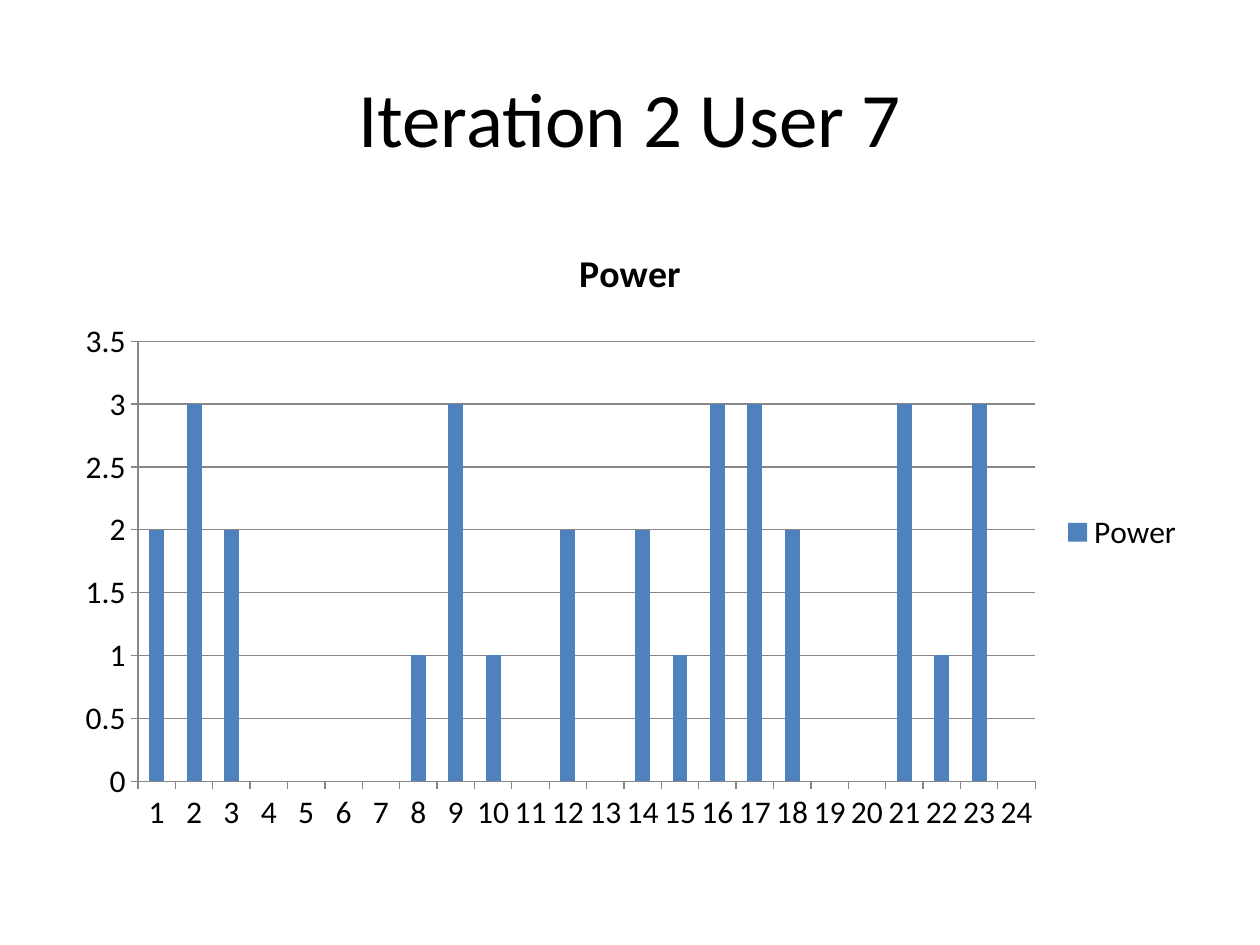
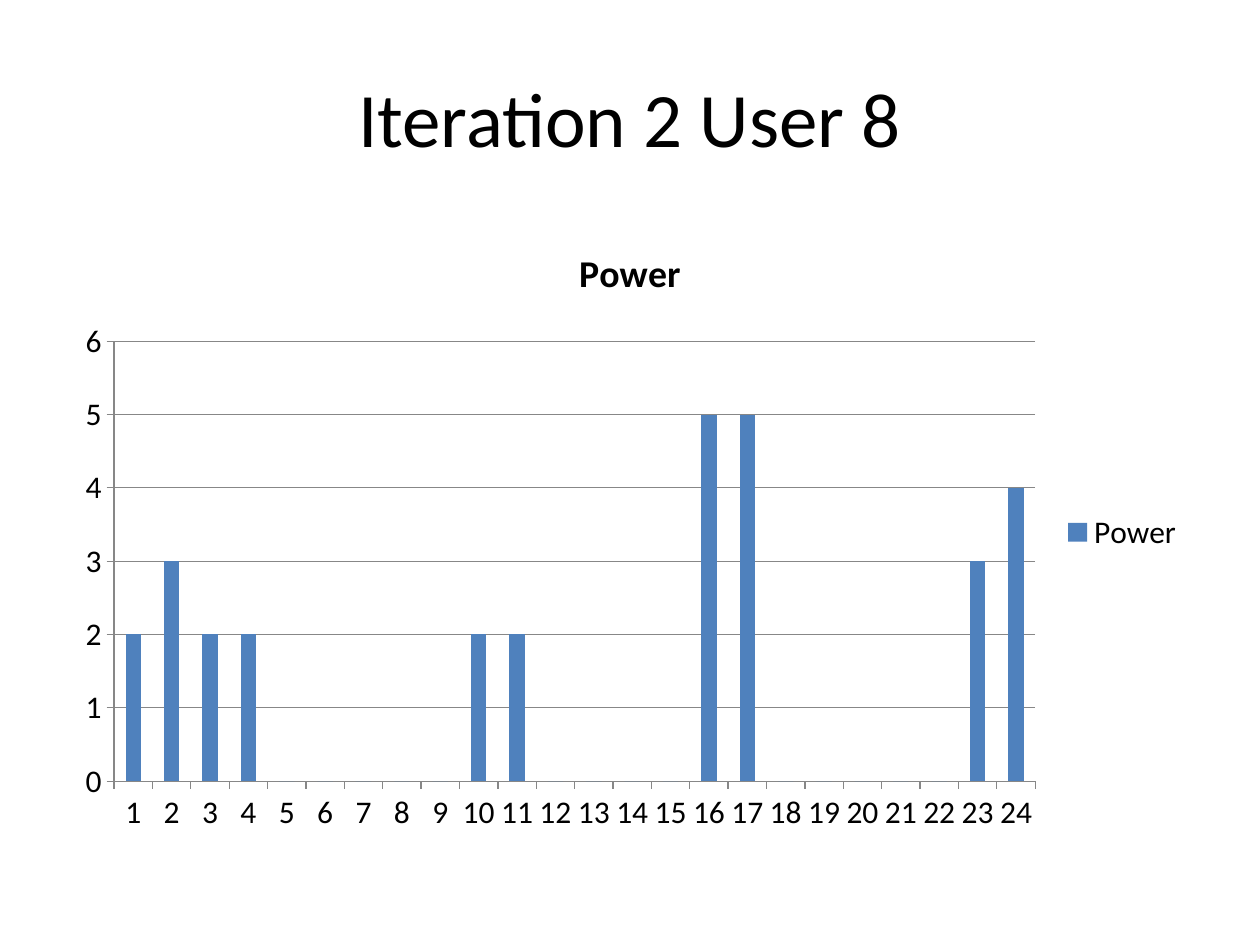
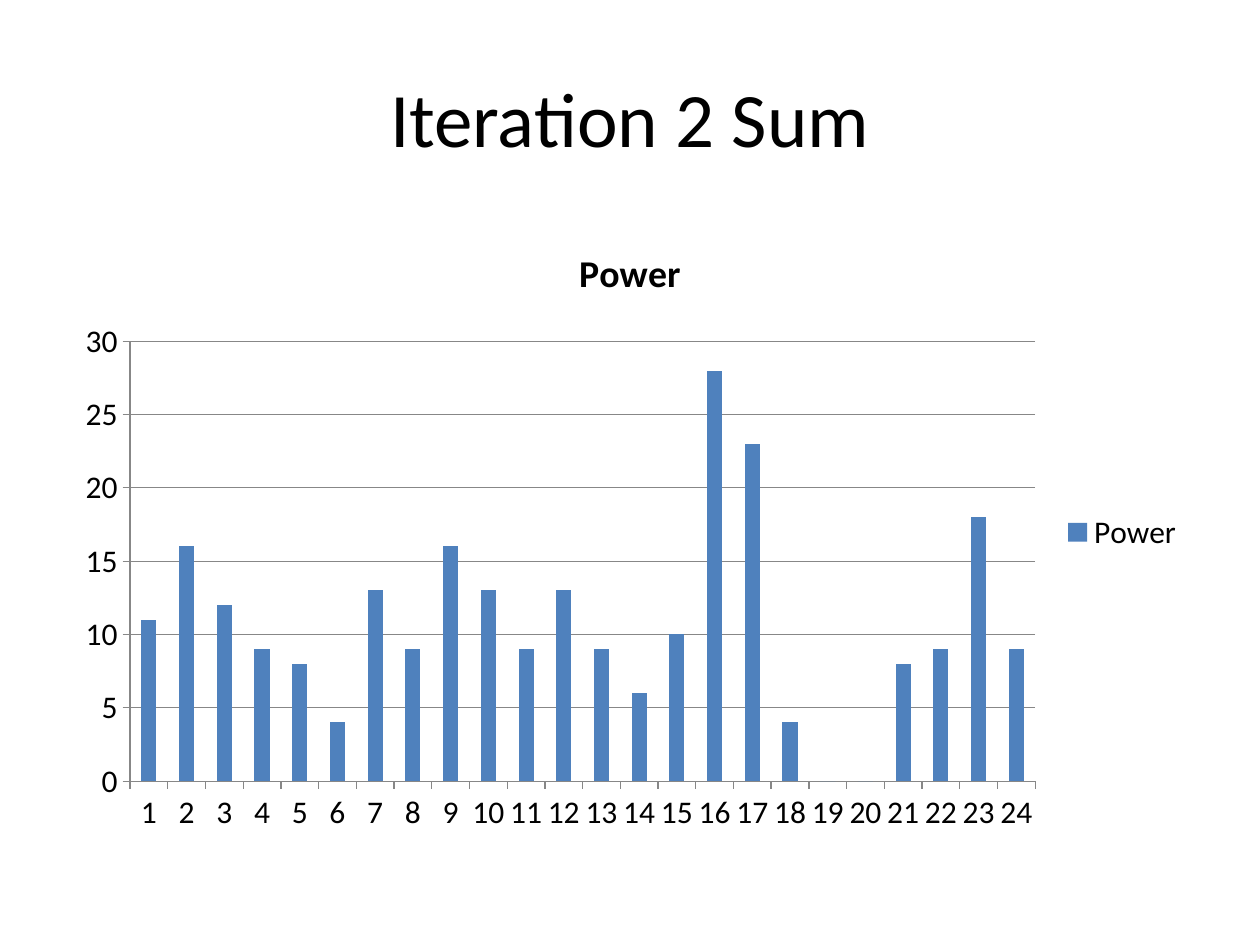
from dataclasses import dataclass

from pptx import Presentation
from pptx.chart.axis import CategoryAxis, ValueAxis
from pptx.chart.chart import Chart
from pptx.chart.data import CategoryChartData
from pptx.dml.color import RGBColor
from pptx.enum.chart import XL_CHART_TYPE, XL_LEGEND_POSITION, XL_TICK_MARK
from pptx.enum.text import MSO_ANCHOR, PP_ALIGN
from pptx.slide import Slide
from pptx.util import Inches, Pt

# Shared look
COLORS = {"text": "000000", "bar": "4F81BD", "line": "878787", "page": "FFFFFF"}
FONT = "Calibri"
MARGIN, CONTENT_WIDTH = Inches(0.5), Inches(9)
SERIES_NAME = "Power"
HOURS = [str(hour) for hour in range(1, 25)]


@dataclass
class PowerPage:
    title: str
    values: list[int]
    axis_maximum: float
    axis_step: float


PAGES = [
    PowerPage(
        "Iteration 2 User 7",
        [2, 3, 2, 0, 0, 0, 0, 1, 3, 1, 0, 2, 0, 2, 1, 3, 3, 2, 0, 0, 3, 1, 3, 0],
        3.5, 0.5,
    ),
    PowerPage(
        "Iteration 2 User 8",
        [2, 3, 2, 2, 0, 0, 0, 0, 0, 2, 2, 0, 0, 0, 0, 5, 5, 0, 0, 0, 0, 0, 3, 4],
        6, 1,
    ),
    PowerPage(
        "Iteration 2 Sum",
        [11, 16, 12, 9, 8, 4, 13, 9, 16, 13, 9, 13,
         9, 6, 10, 28, 23, 4, 0, 0, 8, 9, 18, 9],
        30, 5,
    ),
]


def color(name: str) -> RGBColor:
    return RGBColor.from_string(COLORS[name])


def style_font(font, size: float, bold: bool = False) -> None:
    font.name, font.size, font.bold = FONT, Pt(size), bold
    font.color.rgb = color("text")


def style_line(line) -> None:
    line.color.rgb = color("line")
    line.width = Pt(0.75)


def add_title(page: Slide, text: str) -> None:
    box = page.shapes.add_textbox(MARGIN, Inches(0.3), CONTENT_WIDTH, Inches(1.25))
    frame = box.text_frame
    frame.word_wrap = True
    frame.vertical_anchor = MSO_ANCHOR.MIDDLE
    para = frame.paragraphs[0]
    para.alignment = PP_ALIGN.CENTER
    span = para.add_run()
    span.text = text
    style_font(span.font, 44)


def style_axis(axis: CategoryAxis | ValueAxis) -> None:
    axis.major_tick_mark = XL_TICK_MARK.OUTSIDE
    axis.minor_tick_mark = XL_TICK_MARK.NONE
    style_line(axis.format.line)
    style_font(axis.tick_labels.font, 18)


def style_chart_heading(chart: Chart) -> None:
    chart.has_title = True
    chart.chart_title.include_in_layout = False
    span = chart.chart_title.text_frame.paragraphs[0].add_run()
    span.text = SERIES_NAME
    style_font(span.font, 21.6, bold=True)


def add_power_chart(page: Slide, content: PowerPage) -> None:
    data = CategoryChartData(number_format="General")
    data.categories = HOURS
    data.add_series(SERIES_NAME, content.values)
    chart = page.shapes.add_chart(
        XL_CHART_TYPE.COLUMN_CLUSTERED,
        MARGIN, Inches(1.75), CONTENT_WIDTH, Inches(4.95), data,
    ).chart
    style_font(chart.font, 18)
    style_chart_heading(chart)

    # Legend
    chart.has_legend = True
    chart.legend.position = XL_LEGEND_POSITION.RIGHT
    chart.legend.include_in_layout = False
    style_font(chart.legend.font, 18)

    # Axes and gridlines
    style_axis(chart.category_axis)
    value_axis = chart.value_axis
    style_axis(value_axis)
    value_axis.minimum_scale = 0
    value_axis.maximum_scale = content.axis_maximum
    value_axis.major_unit = content.axis_step
    value_axis.has_major_gridlines = True
    style_line(value_axis.major_gridlines.format.line)

    # Columns
    plot = chart.plots[0]
    plot.vary_by_categories = False
    plot.gap_width = 150
    fill = plot.series[0].format.fill
    fill.solid()
    fill.fore_color.rgb = color("bar")


deck = Presentation()
deck.slide_width, deck.slide_height = Inches(10), Inches(7.5)
blank_layout = deck.slide_layouts[6]
for content in PAGES:
    page = deck.slides.add_slide(blank_layout)
    page.background.fill.solid()
    page.background.fill.fore_color.rgb = color("page")
    add_title(page, content.title)
    add_power_chart(page, content)
deck.save("out.pptx")
